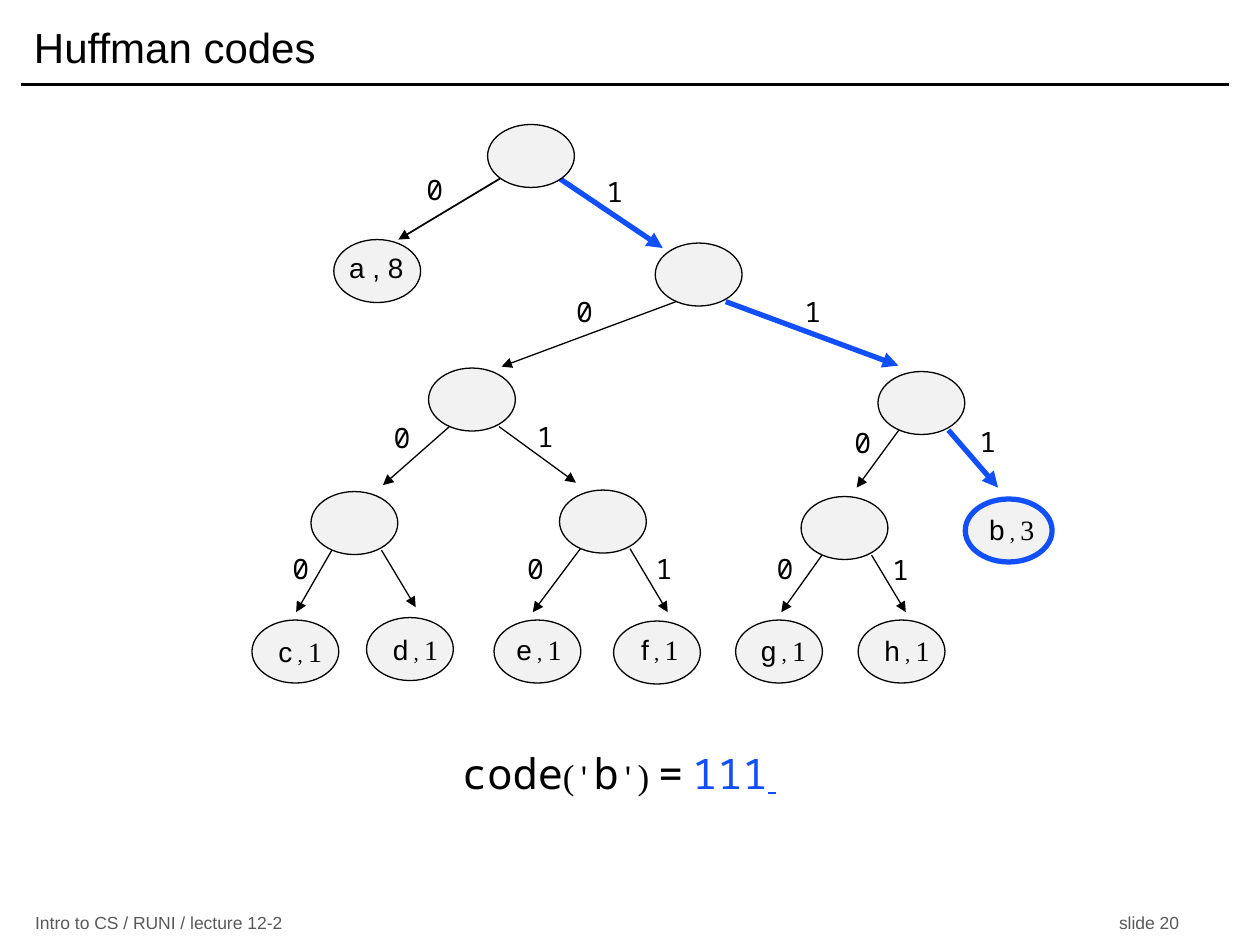
from dataclasses import dataclass
from typing import Optional

from lxml import etree
from pptx import Presentation
from pptx.dml.color import RGBColor
from pptx.enum.shapes import MSO_CONNECTOR, MSO_SHAPE
from pptx.enum.text import MSO_ANCHOR, PP_ALIGN
from pptx.oxml.ns import qn
from pptx.util import Cm, Pt

STRAIGHT = MSO_CONNECTOR.STRAIGHT
OVAL = MSO_SHAPE.OVAL
MIDDLE = MSO_ANCHOR.MIDDLE
LEFT, CENTER = PP_ALIGN.LEFT, PP_ALIGN.CENTER

BLACK = RGBColor(0x00, 0x00, 0x00)
WHITE = RGBColor(0xFF, 0xFF, 0xFF)
GRAY = RGBColor(0x59, 0x59, 0x59)
NODE_FILL = RGBColor(0xF2, 0xF2, 0xF2)
BLUE = RGBColor(0x11, 0x4F, 0xFB)

SANS, SERIF, MONO = "Arial", "Times New Roman", "Noto Sans Mono"
NODE_WIDTH, NODE_HEIGHT = 1.75, 1.27
LABEL_HEIGHT = 0.94

Point = tuple[float, float]


@dataclass
class Span:
    text: str
    size: float
    font: str
    color: RGBColor = BLACK
    underline: bool = False


@dataclass
class Leaf:
    node: Point
    label: Point
    spans: list[Span]
    on_path: bool = False


@dataclass
class Fork:
    """An inner node with its two branches; feet are offsets from the node's corner."""
    node: Point
    zero_tip: Point
    one_tip: Point
    zero_label: Point
    one_label: Optional[Point]
    on_path: bool = False
    zero_foot: Point = (0.42, 1.18)
    one_foot: Point = (1.42, 1.18)
    zero_weight: float = 0.75


def counted(letter: str, count: int) -> list[Span]:
    return [Span(letter, 16, SANS), Span(" , ", 12, SERIF), Span(str(count), 16, SERIF)]


LEAVES = [
    Leaf((6.73, 4.83), (6.71, 4.93), [Span("a , 8", 16, SANS)]),
    Leaf((19.46, 10.06), (19.52, 10.21), counted("b", 3), on_path=True),
    Leaf((5.08, 12.5), (5.18, 12.67), counted("c", 1)),
    Leaf((7.39, 12.45), (7.5, 12.62), counted("d", 1)),
    Leaf((9.96, 12.5), (9.99, 12.62), counted("e", 1)),
    Leaf((12.37, 12.52), (12.43, 12.62), counted("f", 1)),
    Leaf((14.83, 12.5), (14.92, 12.65), counted("g", 1)),
    Leaf((17.3, 12.5), (17.41, 12.65), counted("h", 1)),
]

FORKS = [
    Fork((16.15, 10.01), (15.75, 12.34), (18.26, 12.34), (15.42, 11), (17.75, 11.02)),
    Fork((6.27, 9.91), (5.97, 12.34), (8.38, 12.24), (5.66, 11), None),
    Fork((11.28, 9.88), (10.74, 12.34), (13.46, 12.34), (10.39, 11), (12.98, 11)),
    Fork((17.7, 7.49), (17.27, 9.83), (20.12, 9.83), (16.99, 8.46), (19.51, 8.43), True),
    Fork((8.64, 7.42), (7.72, 9.78), (11.61, 9.73), (7.7, 8.36), (10.59, 8.33)),
    Fork((13.21, 4.9), (10.11, 7.39), (18.11, 7.37), (11.38, 5.82), (15.98, 5.82), True),
    Fork((9.83, 2.51), (8.03, 4.83), (13.36, 5), (8.36, 3.35), (11.99, 3.4), True,
         (0.25, 1.09), (1.45, 1.09), 1),
]

CODE = [
    Span("code", 24, MONO), Span("(", 20, SERIF), Span("'", 18, MONO),
    Span("b", 24, MONO), Span("'", 18, MONO), Span(") ", 20, SERIF),
    Span("=", 24, MONO), Span(" ", 20, SERIF), Span("111", 24, MONO, BLUE),
    Span(" ", 20, SERIF, BLUE, underline=True),
]


def style_font(font, size: float, name: str, color: RGBColor) -> None:
    font.size, font.name = Pt(size), name
    font.color.rgb = color


def add_text(slide, at: Point, width: float, height: float, spans: list[Span],
             inset: float = 0):
    box = slide.shapes.add_textbox(Cm(at[0]), Cm(at[1]), Cm(width), Cm(height))
    frame = box.text_frame
    frame.word_wrap = True
    frame.margin_left = frame.margin_right = Cm(inset)
    para = frame.paragraphs[0]
    para.alignment = CENTER
    for span in spans:
        run = para.add_run()
        run.text = span.text
        style_font(run.font, span.size, span.font, span.color)
        if span.underline:
            run.font.underline = True
    return box


def add_line(slide, start: Point, end: Point, color: RGBColor, weight: float,
             arrow: bool = True) -> None:
    line = slide.shapes.add_connector(
        STRAIGHT, Cm(start[0]), Cm(start[1]), Cm(end[0]), Cm(end[1]))
    line.line.color.rgb = color
    line.line.width = Pt(weight)
    if arrow:
        outline = line.line._get_or_add_ln()
        etree.SubElement(outline, qn("a:tailEnd"), type="triangle")
    etree.SubElement(line._element.spPr, qn("a:effectLst"))


def add_node(slide, at: Point, on_path: bool = False) -> None:
    node = slide.shapes.add_shape(
        OVAL, Cm(at[0]), Cm(at[1]), Cm(NODE_WIDTH), Cm(NODE_HEIGHT))
    node.shadow.inherit = False
    node.fill.solid()
    node.fill.fore_color.rgb = NODE_FILL
    node.line.color.rgb = BLUE if on_path else BLACK
    node.line.width = Pt(3 if on_path else 0.75)


def add_fork(slide, fork: Fork) -> None:
    left, top = fork.node
    zero_start = (left + fork.zero_foot[0], top + fork.zero_foot[1])
    one_start = (left + fork.one_foot[0], top + fork.one_foot[1])
    add_line(slide, zero_start, fork.zero_tip, BLACK, fork.zero_weight)
    add_line(slide, one_start, fork.one_tip,
             BLUE if fork.on_path else BLACK, 3 if fork.on_path else 0.75)
    add_node(slide, fork.node)
    for bit, at in (("0", fork.zero_label), ("1", fork.one_label)):
        if at:
            add_text(slide, at, 0.81, LABEL_HEIGHT, [Span(bit, 16, MONO)])


def add_title(slide) -> None:
    title = slide.shapes.title
    title.left, title.top, title.width, title.height = Cm(0.43), Cm(0.2), Cm(24.33), Cm(1.47)
    title.text_frame.text = "Huffman codes"
    title.text_frame.vertical_anchor = MIDDLE
    para = title.text_frame.paragraphs[0]
    para.alignment = LEFT
    style_font(para.font, 24, SANS, BLACK)
    add_line(slide, (0.43, 1.7), (24.77, 1.7), BLACK, 2, arrow=False)


def add_footer(slide) -> None:
    """One line whose slide number is set against a right-hand tab."""
    footer = add_text(slide, (0.46, 18.36), 23.93, 0.48, [], inset=0.25)
    footer.text_frame.vertical_anchor = MIDDLE
    para = footer.text_frame.paragraphs[0]
    para.alignment = LEFT
    para.text = "Intro to CS / RUNI / lecture 12-2\tslide 20"
    tabs = etree.SubElement(para._p.get_or_add_pPr(), qn("a:tabLst"))
    etree.SubElement(tabs, qn("a:tab"), pos=str(Cm(23.06)), algn="r")
    style_font(para.font, 10, SANS, GRAY)


def main() -> None:
    deck = Presentation()
    deck.slide_width, deck.slide_height = Cm(25.4), Cm(19.05)
    slide = deck.slides.add_slide(deck.slide_layouts[5])
    slide.background.fill.solid()
    slide.background.fill.fore_color.rgb = WHITE
    add_title(slide)
    add_footer(slide)
    for leaf in LEAVES:
        add_node(slide, leaf.node, leaf.on_path)
        add_text(slide, leaf.label, NODE_WIDTH, LABEL_HEIGHT, leaf.spans)
    for fork in FORKS:
        add_fork(slide, fork)
    add_text(slide, (6.35, 14.94), 12.27, 1.3, CODE)
    deck.save("out.pptx")


if __name__ == "__main__":
    main()
